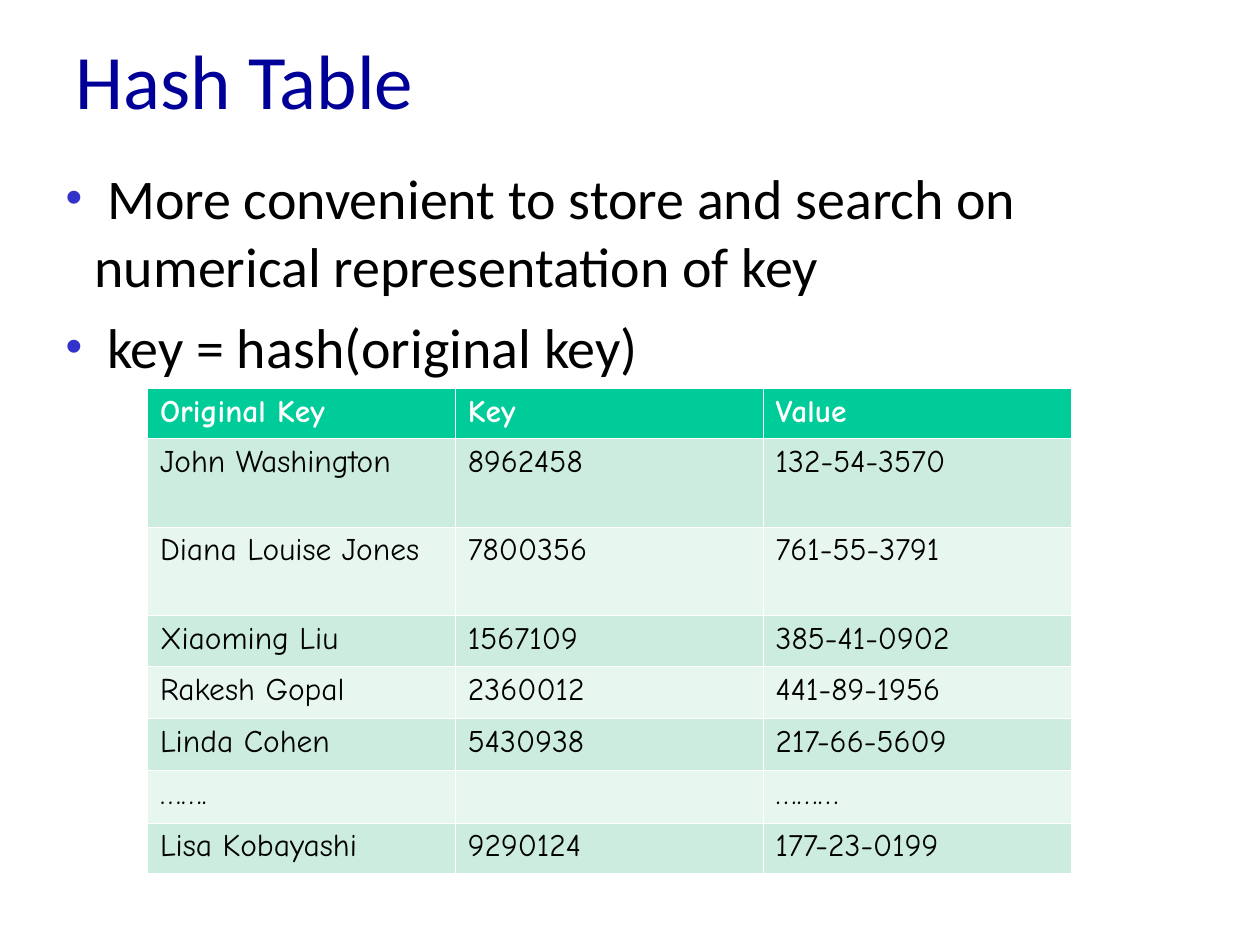
from dataclasses import dataclass

from lxml import etree
from pptx import Presentation
from pptx import util as u
from pptx.dml.color import RGBColor
from pptx.enum import text
from pptx.oxml.ns import qn


@dataclass(frozen=True)
class Theme:
    """Colours, fonts and type sizes of the slide."""
    title: str = "000099"
    ink: str = "000000"
    dot: str = "3333CC"
    head: str = "00CC99"
    bands: tuple = ("CBECDE", "E7F6EF")
    line: str = "FFFFFF"
    sans: str = "Calibri"
    hand: str = "Comic Neue"
    big: int = 44
    mid: int = 32
    small: int = 18


T = Theme()
POINTS = (
    " More convenient to store and search on numerical representation of key",
    " key = hash(original key)",
)
ROWS = (
    ("Original Key", "Key", "Value"),
    ("John Washington", "8962458", "132-54-3570"),
    ("Diana Louise Jones", "7800356", "761-55-3791"),
    ("Xiaoming Liu", "1567109", "385-41-0902"),
    ("Rakesh Gopal", "2360012", "441-89-1956"),
    ("Linda Cohen", "5430938", "217-66-5609"),
    ("…….", "", "………"),
    ("Lisa Kobayashi", "9290124", "177-23-0199"),
)
HIGHS = (0.4, 0.7, 0.7, 0.41, 0.41, 0.41, 0.42, 0.4)


def style(para, face, size, tint, bold=False):
    """Set the font of a whole paragraph."""
    font = para.font
    font.name, font.size, font.bold = face, u.Pt(size), bold
    font.color.rgb = RGBColor.from_string(tint)


def place(shape, box):
    """Move a shape to a box given in inches."""
    shape.left, shape.top, shape.width, shape.height = map(u.Inches, box)


def bullet(para):
    """Give a paragraph a hanging round bullet."""
    props = para._p.get_or_add_pPr()
    props.set("marL", str(u.Inches(0.23)))
    props.set("indent", str(-u.Inches(0.23)))
    tint = etree.SubElement(props, qn("a:buClr"))
    etree.SubElement(tint, qn("a:srgbClr"), val=T.dot)
    etree.SubElement(props, qn("a:buSzPct"), val="85000")
    etree.SubElement(props, qn("a:buFont"), typeface="Arial")
    etree.SubElement(props, qn("a:buChar"), char="•")


def border(cell, width):
    """Draw thin lines on all sides of a cell."""
    props = cell._tc.get_or_add_tcPr()
    for spot, side in enumerate(("lnL", "lnR", "lnT", "lnB")):
        line = etree.Element(qn("a:" + side), w=str(u.Pt(width)))
        fill = etree.SubElement(line, qn("a:solidFill"))
        etree.SubElement(fill, qn("a:srgbClr"), val=T.line)
        props.insert(spot, line)


def heading(slide, box, words):
    """Fill the title placeholder."""
    shape = slide.shapes.title
    place(shape, box)
    frame = shape.text_frame
    frame.text = words
    frame.vertical_anchor = text.MSO_ANCHOR.MIDDLE
    para = frame.paragraphs[0]
    para.alignment = text.PP_ALIGN.LEFT
    style(para, T.sans, T.big, T.title)


def points(slide, box, lines):
    """Fill the body placeholder with a bulleted list."""
    shape = slide.placeholders[1]
    place(shape, box)
    frame = shape.text_frame
    frame.text = "\n".join(lines)
    frame.auto_size = text.MSO_AUTO_SIZE.NONE
    for spot, para in enumerate(frame.paragraphs):
        para.space_before = u.Pt(8 if spot else 0)
        bullet(para)
        style(para, T.sans, T.mid, T.ink)


def grid(slide, box, rows, highs):
    """Draw the table with a header and banded rows."""
    area = map(u.Inches, box)
    table = slide.shapes.add_table(len(rows), len(rows[0]), *area).table
    table.horz_banding = False
    for row, high in zip(table.rows, highs):
        row.height = u.Inches(high)
    for r, row in enumerate(rows):
        back = T.bands[(r - 1) % 2] if r else T.head
        for c, words in enumerate(row):
            cell = table.cell(r, c)
            cell.text = words
            cell.fill.solid()
            cell.fill.fore_color.rgb = RGBColor.from_string(back)
            border(cell, 0.11)
            para = cell.text_frame.paragraphs[0]
            para.line_spacing = 0.96
            style(para, T.hand, T.small, T.ink if r else T.line, not r)


def main():
    """Build and save the slide."""
    deck = Presentation()
    deck.slide_width, deck.slide_height = u.Inches(10), u.Inches(7.5)
    slide = deck.slides.add_slide(deck.slide_layouts[1])
    heading(slide, (0.5, 0, 9, 1.25), "Hash Table")
    points(slide, (0.42, 1.25, 8.83, 2.99), POINTS)
    grid(slide, (1.17, 3.08, 7.33, sum(HIGHS)), ROWS, HIGHS)
    deck.save("out.pptx")


if __name__ == "__main__":
    main()
